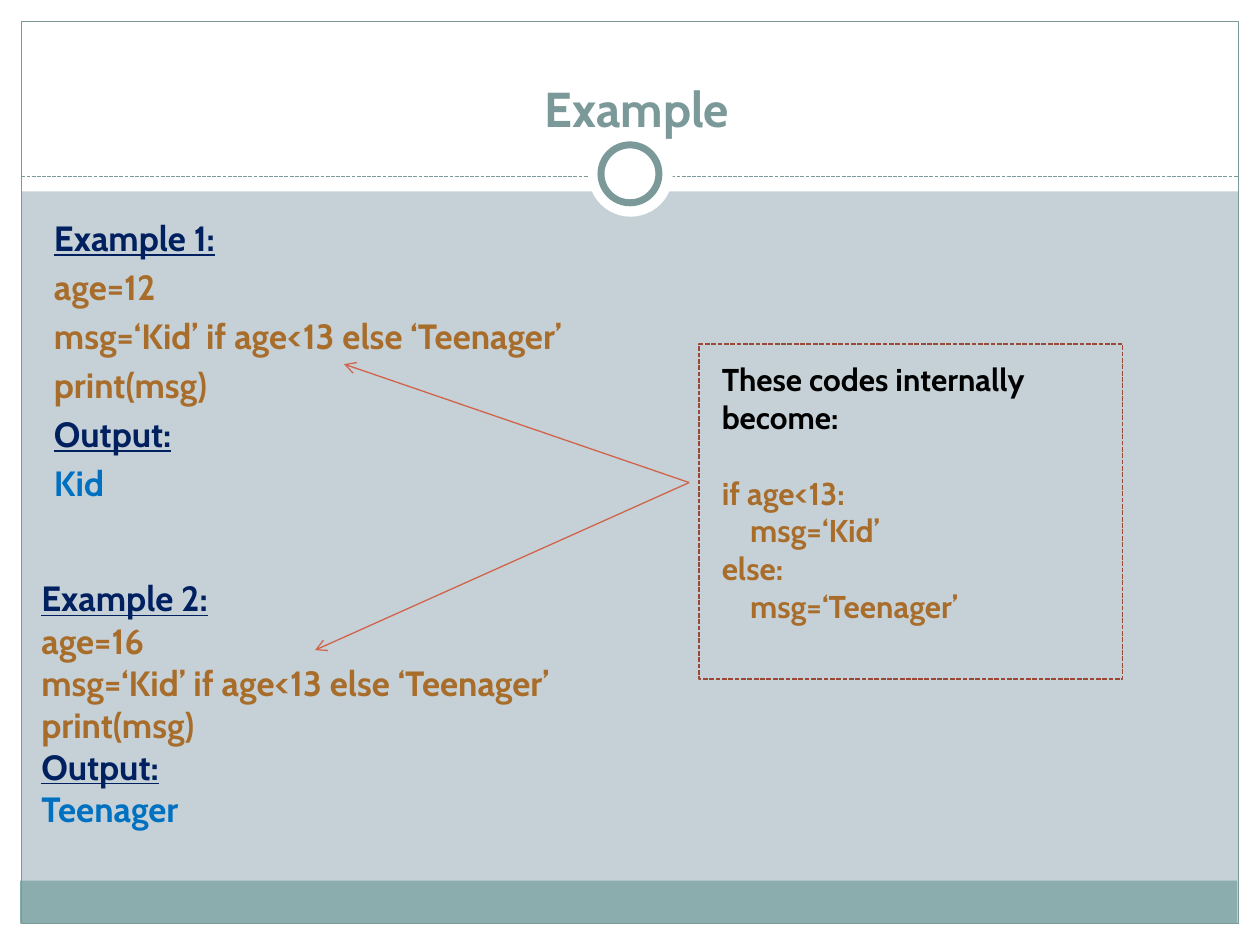
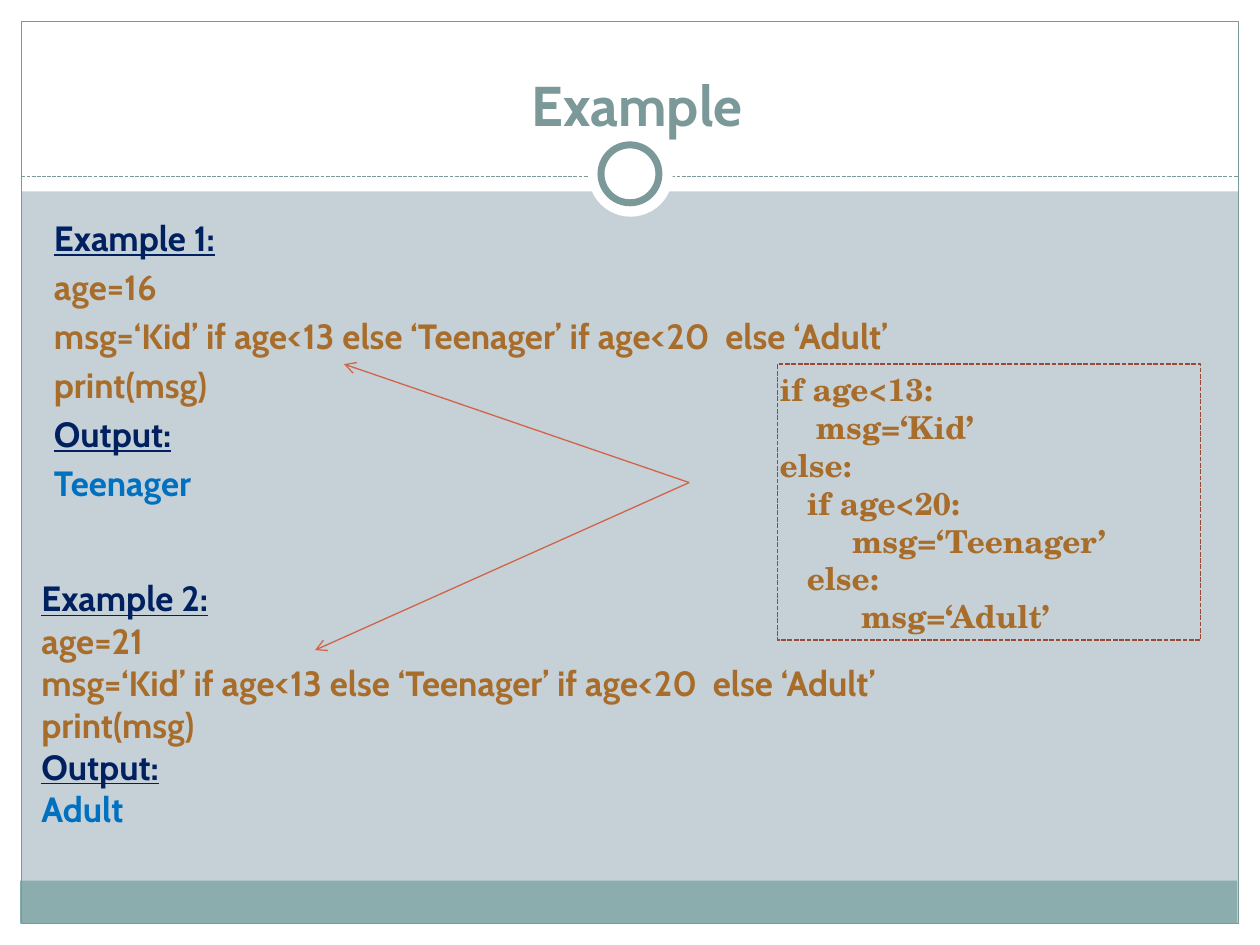
from dataclasses import dataclass
from typing import Optional

import lxml.etree
import pptx
import pptx.dml.color
import pptx.enum.dml
import pptx.enum.shapes
import pptx.enum.text
import pptx.oxml.ns
import pptx.util

# The grid: 100 columns by 75 rows of square cells
COLS, ROWS = 100, 75
CELL = pptx.util.Inches(10) // COLS
SANS, SERIF = "Cabin", "TeX Gyre Schola"
HUES = {
    "back": "C5D1D7", "white": "FFFFFF", "band": "8CADAE", "frame": "7C999A",
    "head": "002060", "code": "A96D2B", "result": "0070C0", "note": "000000",
    "arrow": "D16349", "dash": "9B4936",
}
KINDS = pptx.enum.shapes.MSO_SHAPE
ALIGN = pptx.enum.text.PP_ALIGN
ANCHOR = pptx.enum.text.MSO_ANCHOR


@dataclass
class Area:
    col: float
    row: float
    wide: float
    high: float

    def spot(self) -> list[int]:
        return [cells(n) for n in (self.col, self.row, self.wide, self.high)]


@dataclass
class Part:
    area: Area
    fill: Optional[str] = None
    line: Optional[str] = None
    width: float = 0.75
    dash: bool = False
    kind: int = KINDS.RECTANGLE


@dataclass
class Line:
    text: str
    hue: str = "code"
    gap: float = 0


@dataclass
class Block:
    area: Area
    lines: list[Line]
    size: float = 20
    font: str = SANS
    gap: float = 0
    align: int = ALIGN.LEFT
    anchor: int = ANCHOR.TOP


@dataclass
class Page:
    size: float
    test: str
    ages: tuple[int, int]
    results: tuple[str, str]
    low_wide: float
    note: Block
    box: Area


# Shared frame: margins, footer band, border and ring
EDGE = 1.7
BASE = 73.3
RULE = 14
PANELS = [
    Part(Area(0, BASE, COLS, EDGE), "white"),
    Part(Area(0, 0, COLS, 15.2), "white"),
    Part(Area(0, 0, EDGE, ROWS), "white"),
    Part(Area(COLS - EDGE, 0, EDGE, ROWS), "white"),
    Part(Area(1.6, 69.9, 96.6, 3.4), "band"),
    Part(Area(EDGE, EDGE, COLS - 2 * EDGE, BASE - EDGE), line="frame"),
]
RINGS = [
    Part(Area(46.7, 10.5, 6.7, 6.7), "white", kind=KINDS.OVAL),
    Part(Area(47.7, 11.5, 4.6, 4.6), "white", "frame", 4, kind=KINDS.OVAL),
]
TITLE = Area(3.9, 3.1, 93.3, 8.3)
HUB = (54.7, 38.3)
TIPS = [(27.3, 28.9), (25, 51.6)]

PAGES = [
    Page(28, "msg=‘Kid’ if age<13 else ‘Teenager’",
         (12, 16), ("Kid", "Teenager"), 44.6,
         Block(Area(56.3, 28.1, 26.8, 25.2), [
             Line("These codes internally", "note"),
             Line("become:", "note"),
             Line("if age<13:", gap=21.6),
             Line("    msg=‘Kid’"),
             Line("else:"),
             Line("    msg=‘Teenager’"),
         ], 18),
         Area(55.5, 27.3, 33.6, 26.6)),
    Page(32, "msg=‘Kid’ if age<13 else ‘Teenager’ if age<20  else ‘Adult’",
         (16, 21), ("Teenager", "Adult"), 82.8,
         Block(Area(60.9, 28.9, 33.6, 25.2), [
             Line("if age<13:"),
             Line("    msg=‘Kid’"),
             Line("else:"),
             Line("   if age<20:"),
             Line("        msg=‘Teenager’"),
             Line("   else:"),
             Line("         msg=‘Adult’"),
         ], 18, SERIF),
         Area(61.7, 28.9, 33.6, 21.9)),
]


def cells(count: float) -> int:
    return round(count * CELL)


def shade(name: str) -> pptx.dml.color.RGBColor:
    return pptx.dml.color.RGBColor.from_string(HUES[name])


def stroke(line, hue: str, width: float, dash: bool) -> None:
    line.color.rgb = shade(hue)
    line.width = pptx.util.Pt(width)
    if dash:
        line.dash_style = pptx.enum.dml.MSO_LINE.SQUARE_DOT


def draw(slide, part: Part) -> None:
    shape = slide.shapes.add_shape(part.kind, *part.area.spot())
    shape.shadow.inherit = False
    if part.fill:
        shape.fill.solid()
        shape.fill.fore_color.rgb = shade(part.fill)
    else:
        shape.fill.background()
    if part.line:
        stroke(shape.line, part.line, part.width, part.dash)
    else:
        shape.line.fill.background()


def link(slide, start: tuple[float, float], end: tuple[float, float],
         hue: str, dash: bool = False, arrow: bool = False) -> None:
    wire = slide.shapes.add_connector(
        pptx.enum.shapes.MSO_CONNECTOR.STRAIGHT,
        *[cells(n) for n in start + end])
    stroke(wire.line, hue, 0.75, dash)
    name = pptx.oxml.ns.qn
    props = wire.element.spPr
    if arrow:
        lxml.etree.SubElement(
            props.find(name("a:ln")), name("a:tailEnd"), type="arrow")
    lxml.etree.SubElement(props, name("a:effectLst"))


def write(slide, block: Block) -> None:
    frame = slide.shapes.add_textbox(*block.area.spot()).text_frame
    frame.word_wrap = True
    frame.vertical_anchor = block.anchor
    for i, line in enumerate(block.lines):
        para = frame.add_paragraph() if i else frame.paragraphs[0]
        para.alignment = block.align
        if i:
            para.space_before = pptx.util.Pt(line.gap or block.gap)
        run = para.add_run()
        run.text = line.text
        font = run.font
        font.name, font.size = block.font, pptx.util.Pt(block.size)
        font.bold = True
        font.underline = line.hue == "head"
        font.color.rgb = shade(line.hue)


def sample(num: int, page: Page) -> list[Line]:
    return [
        Line(f"Example {num + 1}:", "head"),
        Line(f"age={page.ages[num]}"),
        Line(page.test),
        Line("print(msg)"),
        Line("Output:", "head"),
        Line(page.results[num], "result"),
    ]


def build(slide, page: Page) -> None:
    # Background and frame
    fill = slide.background.fill
    fill.solid()
    fill.fore_color.rgb = shade("back")
    for part in PANELS:
        draw(slide, part)
    link(slide, (EDGE, RULE), (COLS - EDGE, RULE), "frame", dash=True)
    for part in RINGS:
        draw(slide, part)

    # Title and the two examples
    write(slide, Block(TITLE, [Line("Example", "frame")], page.size,
                       align=ALIGN.CENTER, anchor=ANCHOR.BOTTOM))
    write(slide, Block(Area(3.3, 16.7, 93, 53.1), sample(0, page), gap=4))
    write(slide, Block(Area(2.3, 45.3, page.low_wide, 21.2), sample(1, page)))

    # Expanded code, with arrows to both examples
    write(slide, page.note)
    for tip in TIPS:
        link(slide, HUB, tip, "arrow", arrow=True)
    draw(slide, Part(page.box, line="dash", width=0.9, dash=True))


def main() -> None:
    deck = pptx.Presentation()
    deck.slide_width, deck.slide_height = cells(COLS), cells(ROWS)
    for page in PAGES:
        build(deck.slides.add_slide(deck.slide_layouts[6]), page)
    deck.save("out.pptx")


if __name__ == "__main__":
    main()
